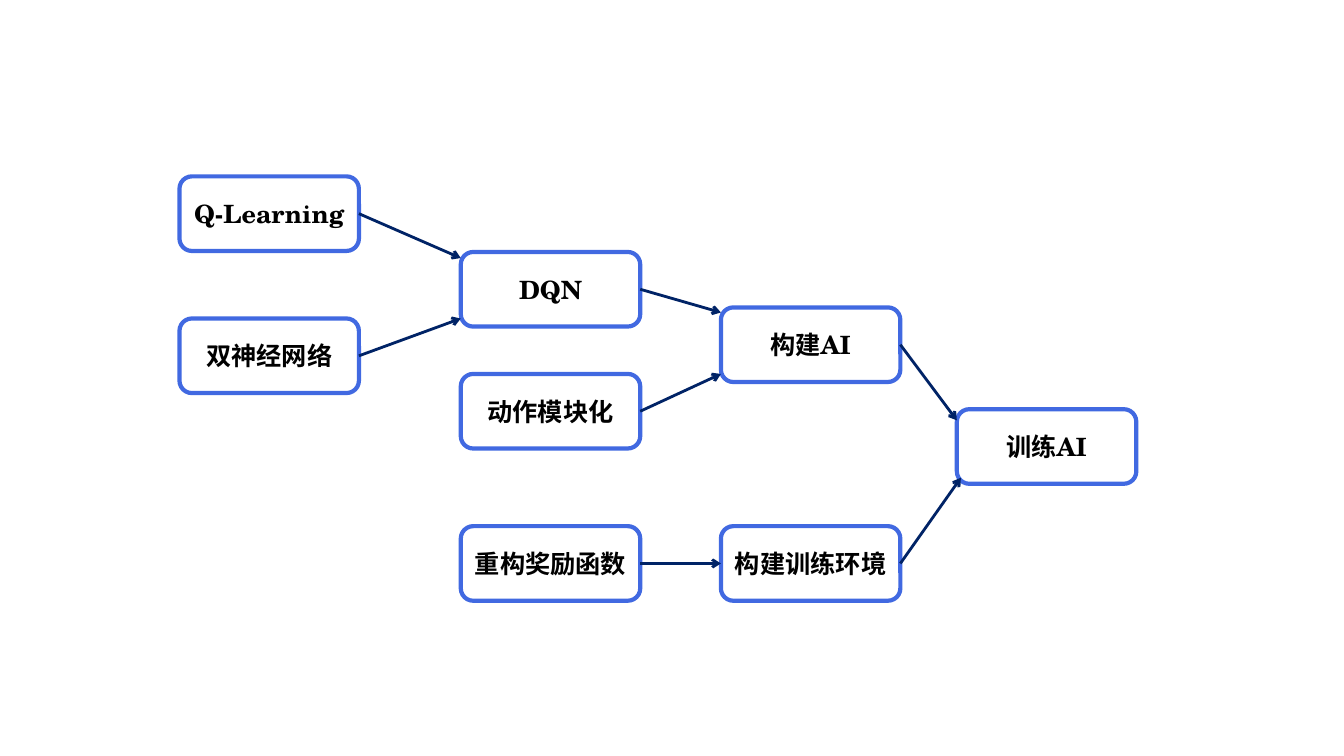
"""Build a flow diagram slide showing the steps towards training a DQN-based AI."""
from lxml.etree import SubElement
from pptx import Presentation
from pptx.dml.color import RGBColor
from pptx.enum.shapes import MSO_CONNECTOR as CONN, MSO_SHAPE as SHAPE
from pptx.enum.text import MSO_ANCHOR as ANCHOR, PP_ALIGN as ALIGN
from pptx.oxml.ns import qn
from pptx.util import Inches, Pt

BLUE = RGBColor(0x41, 0x69, 0xE1)
NAVY = RGBColor(0x00, 0x23, 0x66)
BLACK = RGBColor(0, 0, 0)
LATIN_FONT = "TeX Gyre Schola"
CJK_FONT = "Noto Sans CJK SC"

BOX_W, BOX_H = 1.78, 0.74
COLUMNS = [1.78, 4.57, 7.15, 9.49]
STEPS = {
    "Q-Learning": (0, 1.75),
    "双神经网络": (0, 3.16),
    "DQN": (1, 2.5),
    "动作模块化": (1, 3.71),
    "重构奖励函数": (1, 5.22),
    "构建AI": (2, 3.05),
    "构建训练环境": (2, 5.22),
    "训练AI": (3, 4.06),
}
ARROWS = [
    ("Q-Learning", 4.57, 2.56),
    ("双神经网络", 4.57, 3.16),
    ("DQN", 7.15, 3.1),
    ("动作模块化", 7.15, 3.71),
    ("重构奖励函数", 7.15, 5.59),
    ("构建AI", 9.49, 4.17),
    ("构建训练环境", 9.53, 4.74),
]
FRAME_FORMAT = {
    "margin_left": 0, "margin_right": 0, "margin_top": 0, "margin_bottom": 0,
    "word_wrap": True, "vertical_anchor": ANCHOR.MIDDLE,
}
FONT_FORMAT = {"name": LATIN_FONT, "size": Pt(18), "bold": True}

prs = Presentation()
prs.slide_width, prs.slide_height = Inches(13.33), Inches(7.5)
s = prs.slides.add_slide(prs.slide_layouts[6])

boxes = {}
for label, (column, top) in STEPS.items():
    sp = s.shapes.add_shape(SHAPE.ROUNDED_RECTANGLE, Inches(COLUMNS[column]),
                            Inches(top), Inches(BOX_W), Inches(BOX_H))
    sp.shadow.inherit = False
    sp.fill.background()
    sp.line.color.rgb = BLUE
    sp.line.width = Pt(3)
    tf = sp.text_frame
    for name, value in FRAME_FORMAT.items():
        setattr(tf, name, value)
    p = tf.paragraphs[0]
    p.alignment = ALIGN.CENTER
    r = p.add_run()
    r.text = label
    for name, value in FONT_FORMAT.items():
        setattr(r.font, name, value)
    r.font.color.rgb = BLACK
    SubElement(r._r.get_or_add_rPr(), qn("a:ea"), typeface=CJK_FONT)
    boxes[label] = sp

for source, end_x, end_y in ARROWS:
    box = boxes[source]
    line = s.shapes.add_connector(CONN.STRAIGHT, box.left + box.width,
                                  box.top + box.height // 2,
                                  Inches(end_x), Inches(end_y))
    line.begin_connect(box, 3)
    line.line.color.rgb = NAVY
    line.line.width = Pt(2)
    SubElement(line.line._get_or_add_ln(), qn("a:tailEnd"), type="arrow")
    SubElement(line._element.spPr, qn("a:effectLst"))
    if source == "重构奖励函数":
        line.end_connect(boxes["构建训练环境"], 1)

prs.save("out.pptx")
